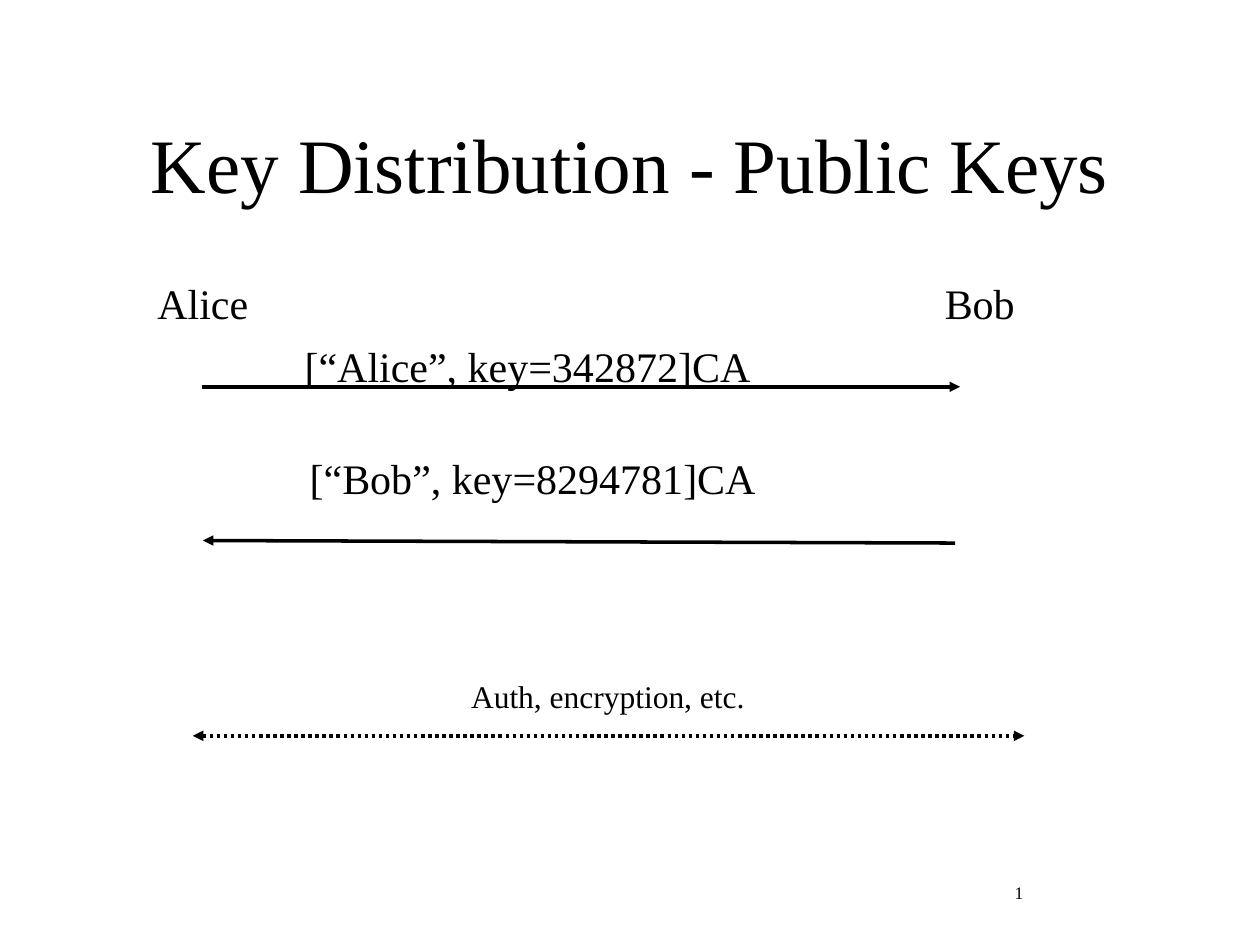
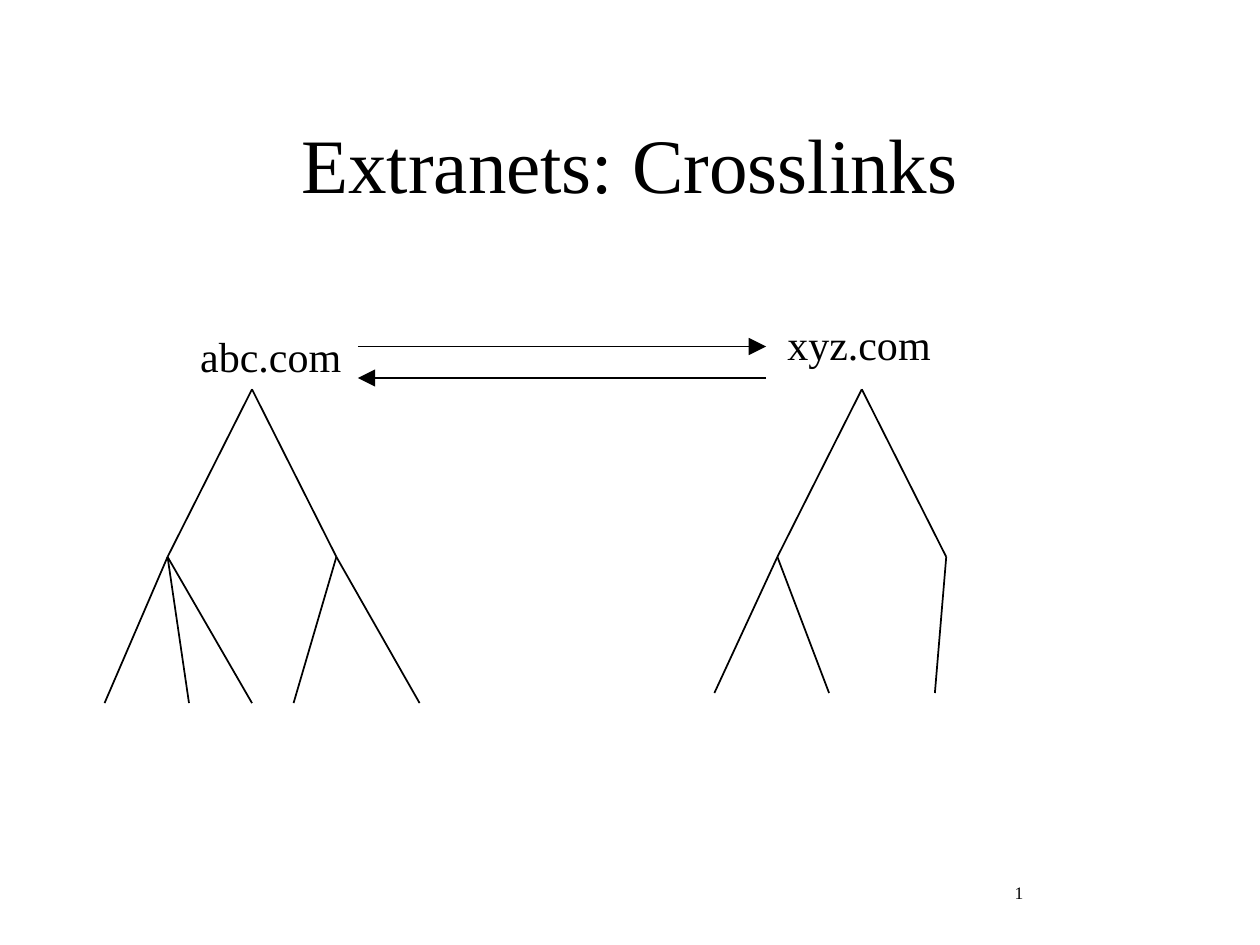
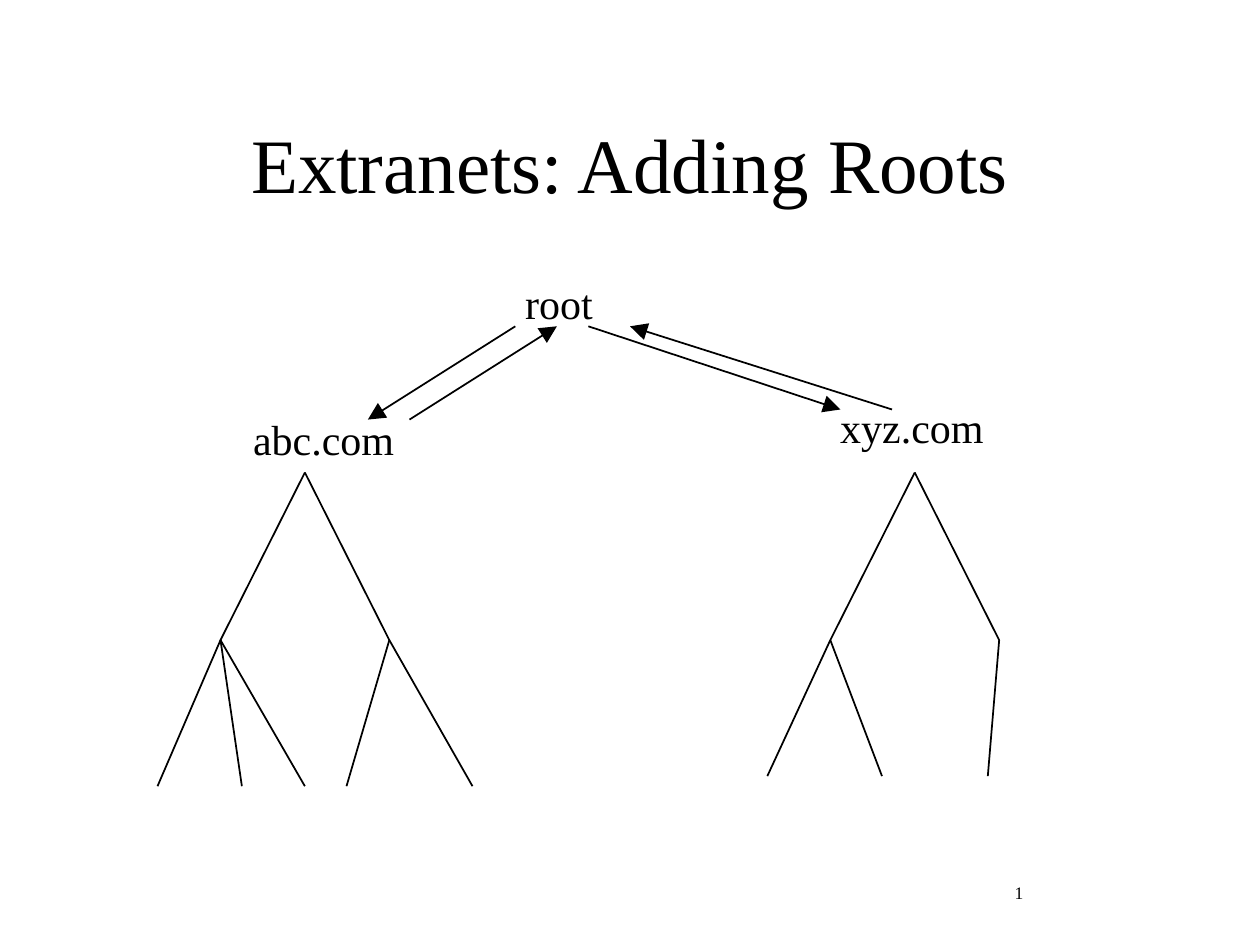
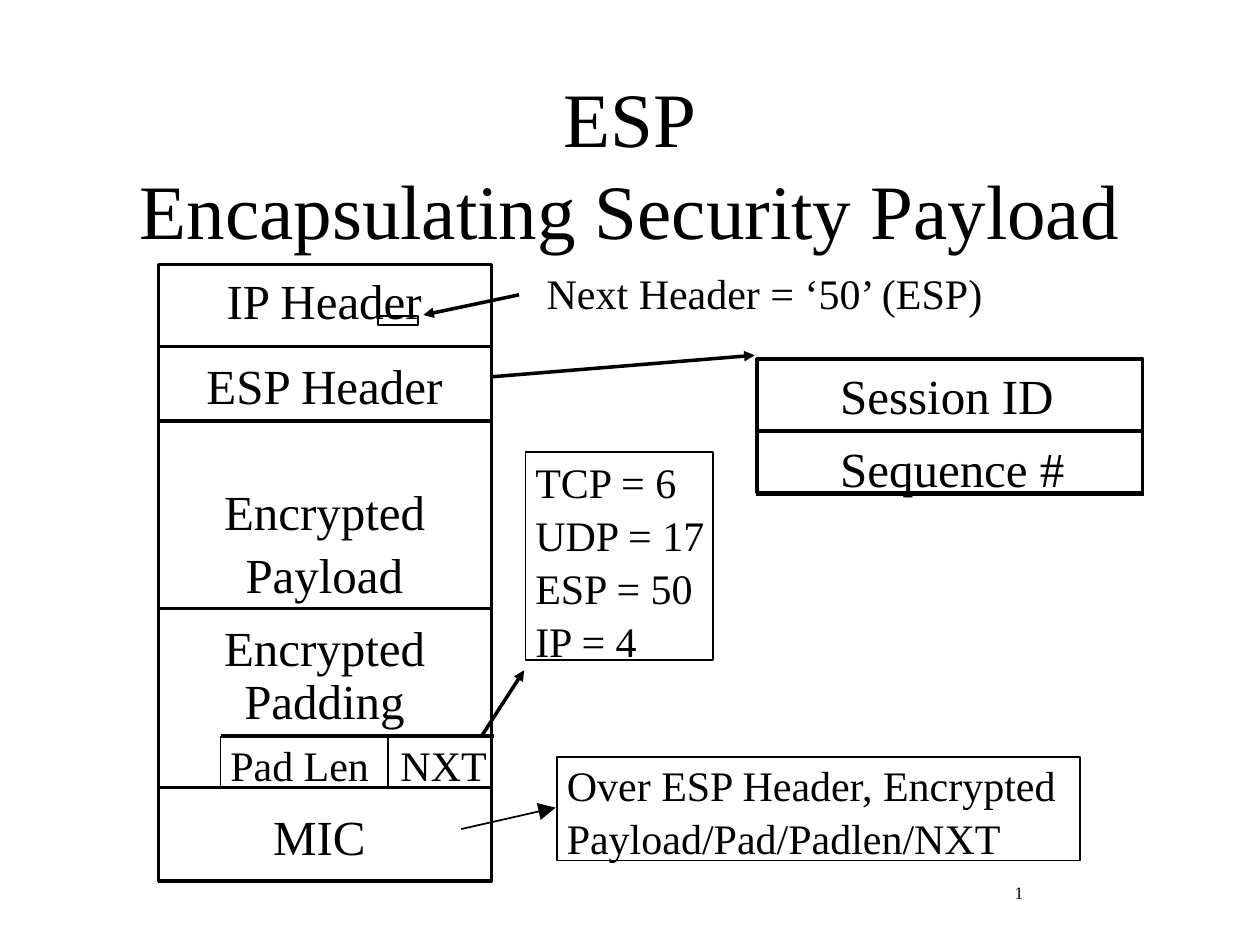
"""Build four network security slides: key distribution, extranets and ESP."""
from pptx import Presentation
from pptx import util as u
from pptx.dml import color
from pptx.enum import dml, shapes, text
from pptx.oxml import ns, xmlchemy

COLORS = {"ink": "000000", "paper": "FFFFFF"}
FONT = "Times New Roman"
THICK, THIN = 2, 1
ABC_BRANCHES = [(-0.67, (-1.17, -0.5, 0)), (0.67, (0.33, 1.33))]
XYZ_BRANCHES = [(-0.67, (-1.17, -0.26)), (0.67, (0.58,))]


def rgb(name):
    return color.RGBColor.from_string(COLORS[name])


def write(frame, content, size=24, align=text.PP_ALIGN.LEFT,
          anchor=text.MSO_ANCHOR.TOP, wrap=False, gap=1.5):
    frame.text = content
    frame.word_wrap = wrap
    frame.auto_size = text.MSO_AUTO_SIZE.NONE
    frame.vertical_anchor = anchor
    for order, paragraph in enumerate(frame.paragraphs):
        paragraph.alignment = align
        paragraph.line_spacing = 1.0
        paragraph.space_before = u.Pt(gap if order else 0)
        for run in paragraph.runs:
            run.font.size = u.Pt(size)
            run.font.name = FONT
            run.font.color.rgb = rgb("ink")


class Deck:
    def __init__(self):
        self.prs = Presentation()
        self.prs.slide_width = u.Inches(10)
        self.prs.slide_height = u.Inches(7.5)
        background = self.prs.slide_master.background.fill
        background.solid()
        background.fore_color.rgb = rgb("paper")
        self.slide = None

    def start(self, title, top=0.67, height=1.25):
        self.slide = self.prs.slides.add_slide(self.prs.slide_layouts[5])
        heading = self.slide.shapes.title
        heading.left, heading.top = u.Inches(0.75), u.Inches(top)
        heading.width, heading.height = u.Inches(8.5), u.Inches(height)
        write(heading.text_frame, title, size=44, align=text.PP_ALIGN.CENTER,
              anchor=text.MSO_ANCHOR.MIDDLE, wrap=True)
        self.label("1", 7.95, 6.95, 0.27, 0.26, size=10,
                   align=text.PP_ALIGN.RIGHT, anchor=text.MSO_ANCHOR.MIDDLE)

    def label(self, content, left, top, width, height=0.48, **style):
        box = self.slide.shapes.add_textbox(
            u.Inches(left), u.Inches(top), u.Inches(width), u.Inches(height))
        write(box.text_frame, content, **style)

    def line(self, start, end, weight=THIN, heads=(), dotted=False):
        connector = self.slide.shapes.add_connector(
            shapes.MSO_CONNECTOR.STRAIGHT,
            *(u.Inches(value) for value in (*start, *end)))
        connector.line.color.rgb = rgb("ink")
        connector.line.width = u.Pt(weight)
        if dotted:
            connector.line.dash_style = dml.MSO_LINE.ROUND_DOT
        properties = connector.element.spPr
        stroke = properties.find(ns.qn("a:ln"))
        scale = "lg" if weight == THIN else "med"
        for head in heads:
            tip = xmlchemy.OxmlElement(f"a:{head}")
            tip.set("type", "triangle")
            tip.set("w", scale)
            tip.set("len", scale)
            stroke.append(tip)
        properties.append(xmlchemy.OxmlElement("a:effectLst"))

    def arrow(self, start, end, weight=THIN):
        self.line(start, end, weight, heads=["tailEnd"])

    def frame(self, left, top, width, height, weight=THIN):
        outline = self.slide.shapes.add_shape(
            shapes.MSO_SHAPE.ROUNDED_RECTANGLE,
            u.Inches(left), u.Inches(top), u.Inches(width), u.Inches(height))
        outline.adjustments[0] = 0
        outline.shadow.inherit = False
        outline.fill.background()
        outline.line.color.rgb = rgb("ink")
        outline.line.width = u.Pt(weight)

    def tree(self, x, y, branches, depth):
        for child, leaves in branches:
            joint = (x + child, y + 1.33)
            self.line((x, y), joint)
            for leaf in leaves:
                self.line(joint, (x + leaf, y + depth))

    def domains(self, x, y):
        self.label("abc.com", x - 0.51, y - 0.52, 1.32)
        self.label("xyz.com", x + 4.15, y - 0.61, 1.34)
        self.tree(x, y, ABC_BRANCHES, 2.49)
        self.tree(x + 4.84, y, XYZ_BRANCHES, 2.41)


def public_keys(deck):
    deck.start("Key Distribution - Public Keys")
    deck.label("Alice", 1.15, 2.15, 0.92)
    deck.label("Bob", 7.4, 2.15, 0.76)
    deck.label("[“Alice”, key=342872]CA", 2.32, 2.65, 3.74)
    deck.arrow((1.6, 3.07), (7.62, 3.07), THICK)
    deck.label("[“Bob”, key=8294781]CA", 2.36, 3.54, 3.74)
    deck.arrow((7.58, 4.31), (1.61, 4.29), THICK)
    deck.label("Auth, encryption, etc.", 3.64, 5.32, 2.38, 0.39, size=18)
    deck.line((1.53, 5.84), (8.13, 5.84), THICK,
              heads=["headEnd", "tailEnd"], dotted=True)


def crosslinks(deck):
    deck.start("Extranets: Crosslinks")
    deck.domains(2, 3.09)
    deck.arrow((2.84, 2.75), (6.08, 2.75))
    deck.arrow((6.08, 3), (2.84, 3))


def adding_roots(deck):
    deck.start("Extranets: Adding Roots")
    deck.domains(2.42, 3.75)
    deck.label("root", 4.07, 2.15, 0.74)
    deck.arrow((4.09, 2.59), (2.92, 3.33))
    deck.arrow((3.25, 3.33), (4.42, 2.59))
    deck.arrow((4.67, 2.59), (6.67, 3.25))
    deck.arrow((7.08, 3.25), (5, 2.59))


def esp(deck):
    deck.start("ESP\vEncapsulating Security Payload", top=0.53, height=1.52)

    deck.frame(1.26, 2.1, 2.64, 4.89, THICK)
    for divider in (2.75, 3.34, 4.83, 6.25):
        deck.line((1.25, divider), (3.91, divider), THICK)
    for field, left, top, width in [
            ("IP Header", 1.7, 2.1, 1.77), ("ESP Header", 1.54, 2.77, 2.09),
            ("Encrypted", 1.68, 3.77, 1.8), ("Payload", 1.85, 4.27, 1.45),
            ("Encrypted", 1.68, 4.85, 1.8), ("Padding", 1.84, 5.27, 1.48),
            ("MIC", 2.07, 6.35, 0.94), ("Session ID", 6.57, 2.85, 1.9),
            ("Sequence #", 6.57, 3.43, 1.98)]:
        deck.label(field, left, top, width, 0.54, size=28)

    deck.line((1.75, 5.84), (3.92, 5.84), THICK)
    for edge in (1.75, 3.08):
        deck.line((edge, 5.84), (edge, 6.25))
    deck.label("Pad Len", 1.73, 5.82, 1.3)
    deck.label("NXT", 3.08, 5.82, 0.89)

    deck.frame(3, 2.51, 0.32, 0.07)
    deck.label("Next Header = ‘50’ (ESP)", 4.24, 2.07, 3.69)
    deck.arrow((4.12, 2.34), (3.36, 2.5), THICK)

    deck.frame(6.01, 2.85, 3.06, 1.06, THICK)
    for divider in (3.42, 3.92):
        deck.line((6, divider), (9.08, divider), THICK)
    deck.arrow((3.91, 2.99), (5.99, 2.82), THICK)

    deck.frame(4.17, 3.59, 1.49, 1.65)
    deck.label("TCP = 6\nUDP = 17\nESP = 50\nIP = 4", 4.15, 3.57, 1.56, 1.68)
    deck.arrow((3.83, 5.83), (4.16, 5.32), THICK)

    deck.frame(4.42, 6.01, 4.15, 0.82)
    deck.label("Over ESP Header, Encrypted\nPayload/Pad/Padlen/NXT",
               4.4, 5.98, 4.11, 0.88)
    deck.arrow((3.66, 6.58), (4.41, 6.41))


deck = Deck()
for build in (public_keys, crosslinks, adding_roots, esp):
    build(deck)
deck.prs.save("out.pptx")
